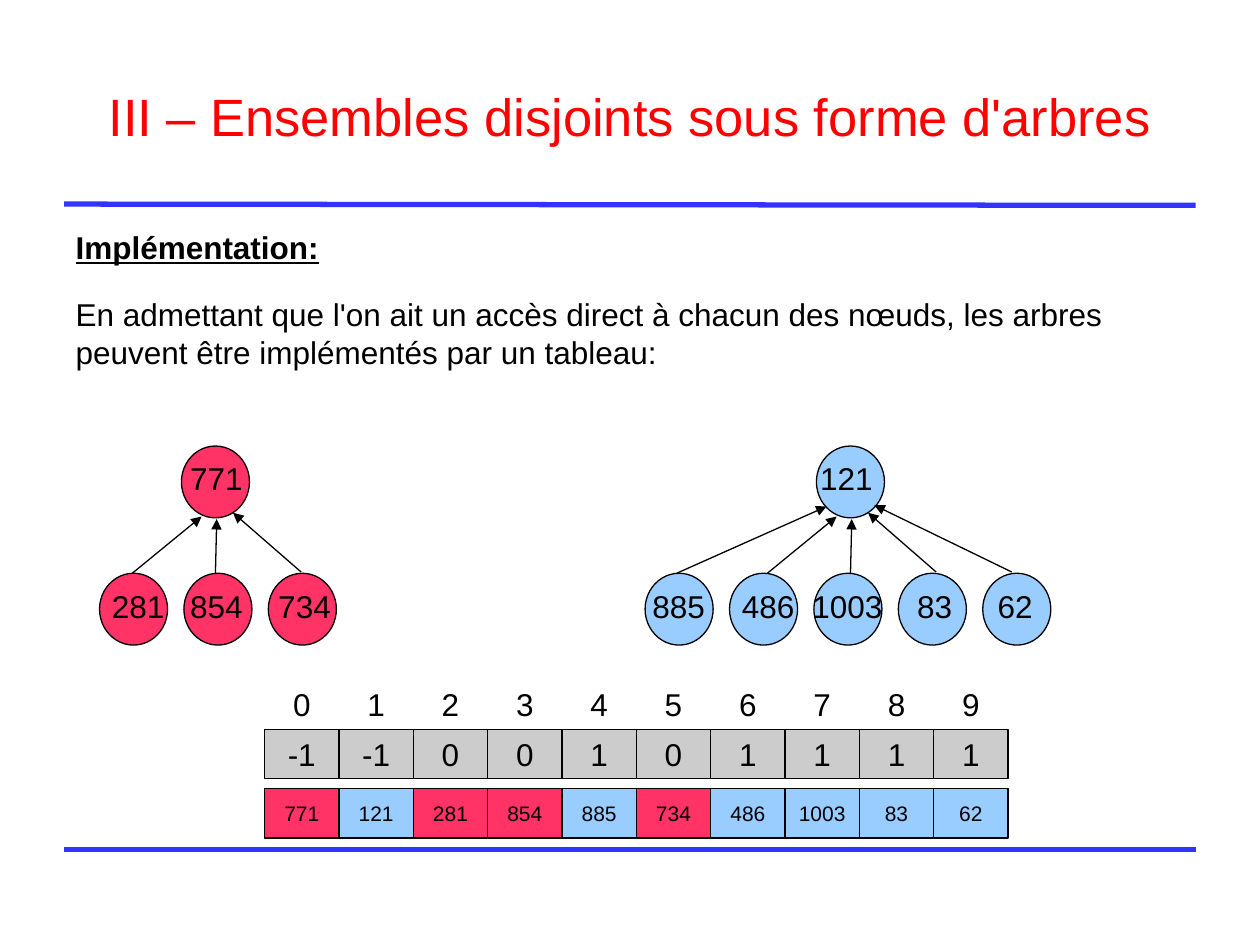
from dataclasses import dataclass

from pptx import Presentation
from pptx.dml.color import RGBColor
from pptx.enum import shapes, text
from pptx.oxml import ns, xmlchemy
from pptx.util import Inches, Pt


@dataclass(frozen=True)
class Theme:
    """Colours, font and type sizes of the slide."""
    font: str = "Arial"
    title: str = "FF0000"
    rule: str = "3333FF"
    ink: str = "000000"
    paper: str = "FFFFFF"
    grey: str = "CCCCCC"
    red: str = "FF3366"
    blue: str = "99CCFF"
    title_size: int = 30
    body_size: int = 18
    value_size: int = 12
    thin: float = 0.75
    thick: float = 3


@dataclass
class Painter:
    """Draws styled elements on the current page."""
    theme: Theme
    page: object

    def add_span(self, para, words, size, colour, bold=None, underline=None):
        """Add one styled run to a paragraph."""
        span = para.add_run()
        span.text = words
        font = span.font
        font.name, font.size = self.theme.font, Pt(size)
        font.bold, font.underline = bold, underline
        font.color.rgb = RGBColor.from_string(colour)

    def place(self, box, left, top, width, height, inset_top):
        """Move a placeholder and return its text frame."""
        box.left, box.top = Inches(left), Inches(top)
        box.width, box.height = Inches(width), Inches(height)
        frame = box.text_frame
        frame.auto_size = text.MSO_AUTO_SIZE.NONE
        frame.margin_top = Inches(inset_top)
        return frame

    def title(self, words):
        """Fill the title placeholder."""
        frame = self.place(self.page.shapes.title, 0.5, 0.3, 9, 1.25, 0.08)
        frame.vertical_anchor = text.MSO_ANCHOR.MIDDLE
        para = frame.paragraphs[0]
        para.alignment = text.PP_ALIGN.CENTER
        para.line_spacing = 0.93
        self.add_span(para, words, self.theme.title_size, self.theme.title)

    def body(self, heading, sentence):
        """Fill the body placeholder with a heading and a sentence."""
        frame = self.place(self.page.placeholders[1], 0.5, 1.75, 9, 2.19, 0.13)
        first, second = frame.paragraphs[0], frame.add_paragraph()
        for para, before, spacing in ((first, 0, 0.75), (second, 17, 1.0)):
            para.space_before, para.line_spacing = Pt(before), spacing
            props = para._p.get_or_add_pPr()
            props.set("marL", "0")
            props.set("indent", "0")
            props.append(xmlchemy.OxmlElement("a:buNone"))
        size, ink = self.theme.body_size, self.theme.ink
        self.add_span(first, heading, size, ink, bold=True, underline=True)
        self.add_span(second, sentence, size, ink)

    def line(self, start, end, colour, width, arrow=False):
        """Draw a straight line, with an arrowhead at its end on request."""
        points = [Inches(value) for value in (*start, *end)]
        link = self.page.shapes.add_connector(shapes.MSO_CONNECTOR.STRAIGHT, *points)
        link.line.color.rgb = RGBColor.from_string(colour)
        link.line.width = Pt(width)
        properties = link._element.find(ns.qn("p:spPr"))
        if arrow:
            head = xmlchemy.OxmlElement("a:tailEnd")
            head.set("type", "triangle")
            properties.find(ns.qn("a:ln")).append(head)
        properties.append(xmlchemy.OxmlElement("a:effectLst"))

    def shape(self, kind, left, top, width, height, fill, outlined=True):
        """Draw a filled preset shape."""
        box = self.page.shapes.add_shape(
            kind, Inches(left), Inches(top), Inches(width), Inches(height))
        box.shadow.inherit = False
        box.fill.solid()
        box.fill.fore_color.rgb = RGBColor.from_string(fill)
        if outlined:
            box.line.color.rgb = RGBColor.from_string(self.theme.ink)
            box.line.width = Pt(self.theme.thin)
        else:
            box.line.fill.background()
        return box

    def label(self, words, left, top, width):
        """Set a node's value in a text box."""
        box = self.page.shapes.add_textbox(
            Inches(left), Inches(top), Inches(width), Inches(0.4))
        frame = box.text_frame
        frame.word_wrap = False
        frame.auto_size = text.MSO_AUTO_SIZE.SHAPE_TO_FIT_TEXT
        self.add_span(frame.paragraphs[0], words, self.theme.body_size, self.theme.ink)

    def node(self, words, left, top, fill, label_left, label_top):
        """Draw a tree node and its value."""
        self.shape(shapes.MSO_SHAPE.OVAL, left, top, 0.54, 0.57, fill)
        self.label(words, label_left, label_top, 0.2 + 0.14 * len(words))

    def tree(self, root, leaves, left, first_leaf, fill, arrows):
        """Draw a root, its row of leaves and the arrows up to the root."""
        self.node(root[0], left, 3.54, fill, root[1], 3.59)
        for index, (words, label_left) in enumerate(leaves):
            self.node(words, first_leaf + 0.67 * index, 4.55, fill, label_left, 4.61)
        for (x1, y1), (x2, y2) in arrows:
            self.line((left + x1, y1), (left + x2, y2),
                      self.theme.ink, self.theme.thin, arrow=True)

    def row(self, values, top, fills, size, outlined=True):
        """Draw one row of array cells."""
        for index, (words, fill) in enumerate(zip(values, fills)):
            box = self.shape(shapes.MSO_SHAPE.ROUNDED_RECTANGLE,
                             2.1 + 0.59 * index, top, 0.59, 0.39, fill, outlined)
            box.adjustments[0] = 0
            frame = box.text_frame
            frame.word_wrap = True
            frame.vertical_anchor = text.MSO_ANCHOR.MIDDLE
            para = frame.paragraphs[0]
            para.alignment = text.PP_ALIGN.CENTER
            self.add_span(para, words, size, self.theme.ink)


def main():
    """Build the slide and save it."""
    deck = Presentation()
    deck.slide_width, deck.slide_height = Inches(10), Inches(7.5)
    theme = Theme()
    painter = Painter(theme, deck.slides.add_slide(deck.slide_layouts[1]))

    for start, end in ((6.74, 6.74), (1.62, 1.63)):
        painter.line((0.51, start), (9.49, end), theme.rule, theme.thick)
    painter.title("III – Ensembles disjoints sous forme d'arbres")
    painter.body("Implémentation:",
                 "En admettant que l'on ait un accès direct à chacun des nœuds, "
                 "les arbres peuvent être implémentés par un tableau:")

    inner = [((-0.39, 4.55), (0.16, 4.1)),
             ((0.27, 4.55), (0.28, 4.12)),
             ((0.95, 4.54), (0.41, 4.07))]
    outer = [((-1.11, 4.55), (0.08, 4.02)),
             ((1.55, 4.54), (0.46, 4.01))]
    red_leaves = [("281", 0.79), ("854", 1.41), ("734", 2.11)]
    blue_leaves = [("885", 5.08), ("486", 5.79), ("1003", 6.35),
                   ("83", 7.18), ("62", 7.82)]
    painter.tree(("771", 1.41), red_leaves, 1.44, 0.79, theme.red, inner)
    painter.tree(("121", 6.41), blue_leaves, 6.48, 5.12, theme.blue, inner + outer)

    values = ["771", "121", "281", "854", "885", "734", "486", "1003", "83", "62"]
    parents = ["-1", "-1", "0", "0", "1", "0", "1", "1", "1", "1"]
    reds = {"771"} | {words for words, _ in red_leaves}
    fills = [theme.red if words in reds else theme.blue for words in values]
    count = len(values)
    painter.row([str(index) for index in range(count)], 5.39,
                [theme.paper] * count, theme.body_size, outlined=False)
    painter.row(parents, 5.79, [theme.grey] * count, theme.body_size)
    painter.row(values, 6.26, fills, theme.value_size)

    deck.save("out.pptx")


if __name__ == "__main__":
    main()
